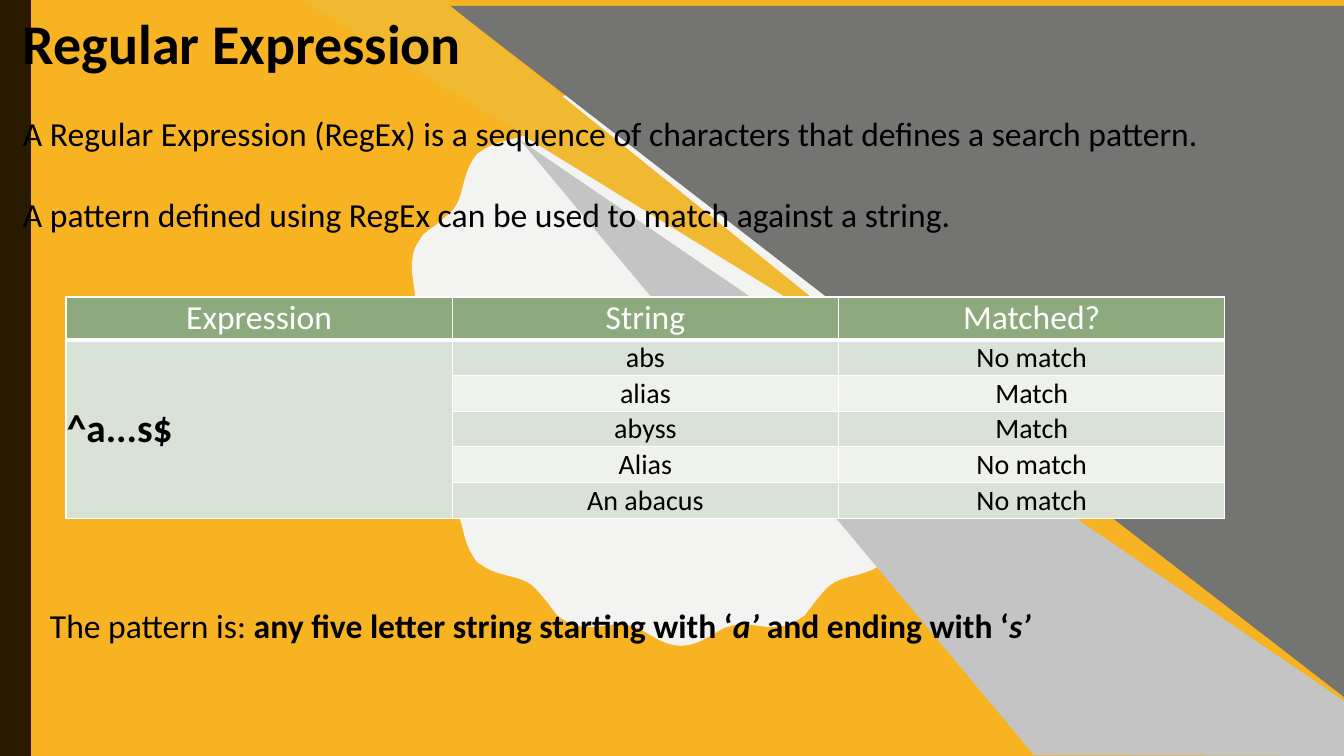
import math
import pptx
import pptx.util
import pptx.dml.color
import pptx.enum.shapes
import pptx.enum.text
import pptx.oxml
import pptx.oxml.ns

PX = 914400 / 100.8
HUES = {
    "gold": "F8B323", "seal": "F3F3F2", "bark": "2A1A00", "slate": "747472",
    "ash": "C4C4C4", "sand": "F0B931", "black": "000000", "white": "FFFFFF",
    "sage": "8CAA7E", "mint": "DAE2D8", "pale": "EEF1EC",
}
SHAPE = pptx.enum.shapes.MSO_SHAPE
ALIGN = pptx.enum.text.PP_ALIGN
MIDDLE = pptx.enum.text.MSO_ANCHOR.MIDDLE


def emu(px):
    return pptx.util.Emu(round(px * PX))


def paint(fill, hue):
    fill.solid()
    fill.fore_color.rgb = pptx.dml.color.RGBColor.from_string(HUES[hue])


class Deck:
    font = "Calibri"

    def __init__(self, wide, high, back):
        self.file = pptx.Presentation()
        self.file.slide_width, self.file.slide_height = emu(wide), emu(high)
        self.slide = self.file.slides.add_slide(self.file.slide_layouts[6])
        self.shapes = self.slide.shapes
        paint(self.slide.background.fill, back)

    def plain(self, item, hue):
        item.shadow.inherit = False
        paint(item.fill, hue)
        item.line.fill.background()
        return item

    def shape(self, kind, box, hue):
        return self.plain(self.shapes.add_shape(kind, *map(emu, box)), hue)

    def outline(self, points, hue):
        pen = self.shapes.build_freeform(*points[0], scale=PX)
        pen.add_line_segments(points[1:], close=True)
        return self.plain(pen.convert_to_shape(), hue)

    def style(self, para, size, hue="black", bold=None):
        para.font.name = self.font
        para.font.size = pptx.util.Pt(size)
        para.font.bold = bold
        paint(para.font.fill, hue)

    def text(self, box, paras, size, bold=None, gap=0):
        frame = self.shapes.add_textbox(*map(emu, box)).text_frame
        frame.word_wrap = True
        for i, runs in enumerate(paras):
            para = frame.add_paragraph() if i else frame.paragraphs[0]
            self.style(para, size, bold=bold)
            para.space_before = pptx.util.Pt(gap if i else 0)
            for words, marks in runs:
                run = para.add_run()
                run.text = words
                if "b" in marks:
                    run.font.bold = True
                if "i" in marks:
                    run.font.italic = True

    def cell(self, cell, words, size, hue, fill, bold=False, base=1):
        cell.text = words
        cell.vertical_anchor = MIDDLE
        cell.margin_left = cell.margin_right = emu(1)
        cell.margin_top = cell.margin_bottom = emu(1)
        para = cell.text_frame.paragraphs[0]
        para.alignment = ALIGN.CENTER
        self.style(para, size, hue, bold)
        paint(cell.fill, fill)
        props = cell._tc.get_or_add_tcPr()
        for i, side in enumerate("LRTB"):
            width = pptx.util.Pt(base if side == "B" else 1)
            props.insert(i, pptx.oxml.parse_xml(
                f'<a:ln{side} {pptx.oxml.ns.nsdecls("a")} w="{width}"><a:solidFill>'
                f'<a:srgbClr val="{HUES["white"]}"/></a:solidFill></a:ln{side}>'))

    def table(self, box, heads, key, rows, tall):
        grid = self.shapes.add_table(len(rows) + 1, len(heads), *map(emu, box)).table
        for col in grid.columns:
            col.width = emu(box[2] / len(heads))
        for row, high in zip(grid.rows, [tall] + [(box[3] - tall) / len(rows)] * len(rows)):
            row.height = emu(high)
        for c, head in enumerate(heads):
            self.cell(grid.cell(0, c), head, 24, "white", "sage", base=3)
        for r, row in enumerate(rows, 1):
            for c, words in enumerate(("", *row)):
                self.cell(grid.cell(r, c), words, 20, "black", "mint" if r % 2 else "pale")
        first = grid.cell(1, 0)
        first.merge(grid.cell(len(rows), 0))
        first.text = key
        self.style(first.text_frame.paragraphs[0], 28, bold=True)


deck = Deck(1344, 756, "gold")

# Wavy seal with sixteen lobes
seal = []
for step in range(240):
    turn = math.tau * step / 240
    reach = 280 + 8 * math.cos(16 * turn)
    seal.append((681 + reach * math.sin(turn), 358 - reach * math.cos(turn)))
deck.outline(seal, "seal")

# Side bar and diagonal bands
deck.shape(SHAPE.RECTANGLE, (0, 0, 31, 756), "bark")
deck.shape(SHAPE.RIGHT_TRIANGLE, (450, 6, 894, 691), "slate").rotation = 180
deck.outline([(1034, 755), (520, 140), (1344, 701), (1344, 756)], "ash")
deck.outline([(303, 0), (443, 0), (894, 364)], "sand")

# Title and definition
deck.text((13, 4, 722, 146), [[("Regular Expression", "")]], 40, bold=True)
deck.text((13, 108, 1296, 132), [
    [("A Regular Expression (RegEx) is a sequence of characters that defines a search pattern.", "")],
    [("A pattern defined using RegEx can be used to match against a string.", "")],
], 24, gap=29)

# Match table
deck.table((66, 297, 1159, 221), ("Expression", "String", "Matched?"), "^a...s$", [
    ("abs", "No match"),
    ("alias", "Match"),
    ("abyss", "Match"),
    ("Alias", "No match"),
    ("An abacus", "No match"),
], 43)

# Meaning of the pattern
deck.text((40, 600, 1185, 50), [[
    ("The pattern is: ", ""),
    ("any five letter string starting with ‘", "b"),
    ("a’", "bi"),
    (" and ending with ‘", "b"),
    ("s’", "bi"),
]], 24)

deck.file.save("out.pptx")
